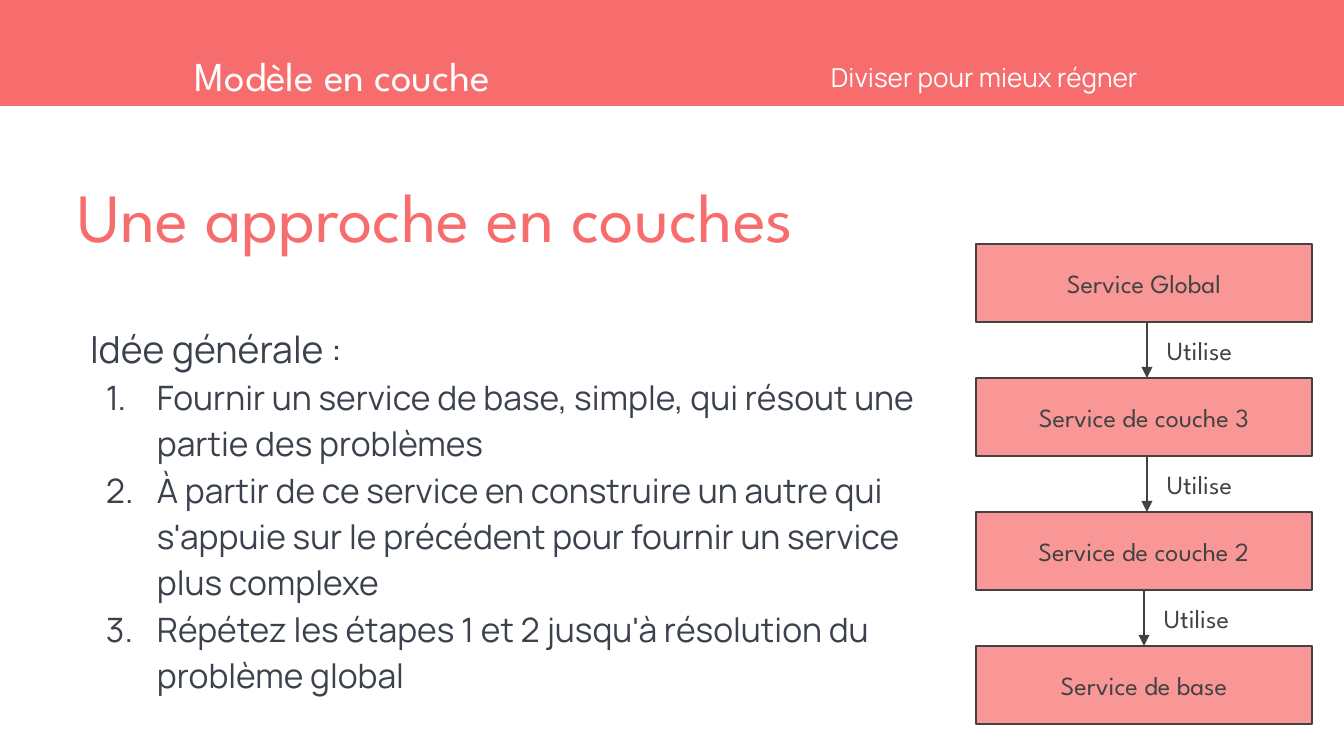
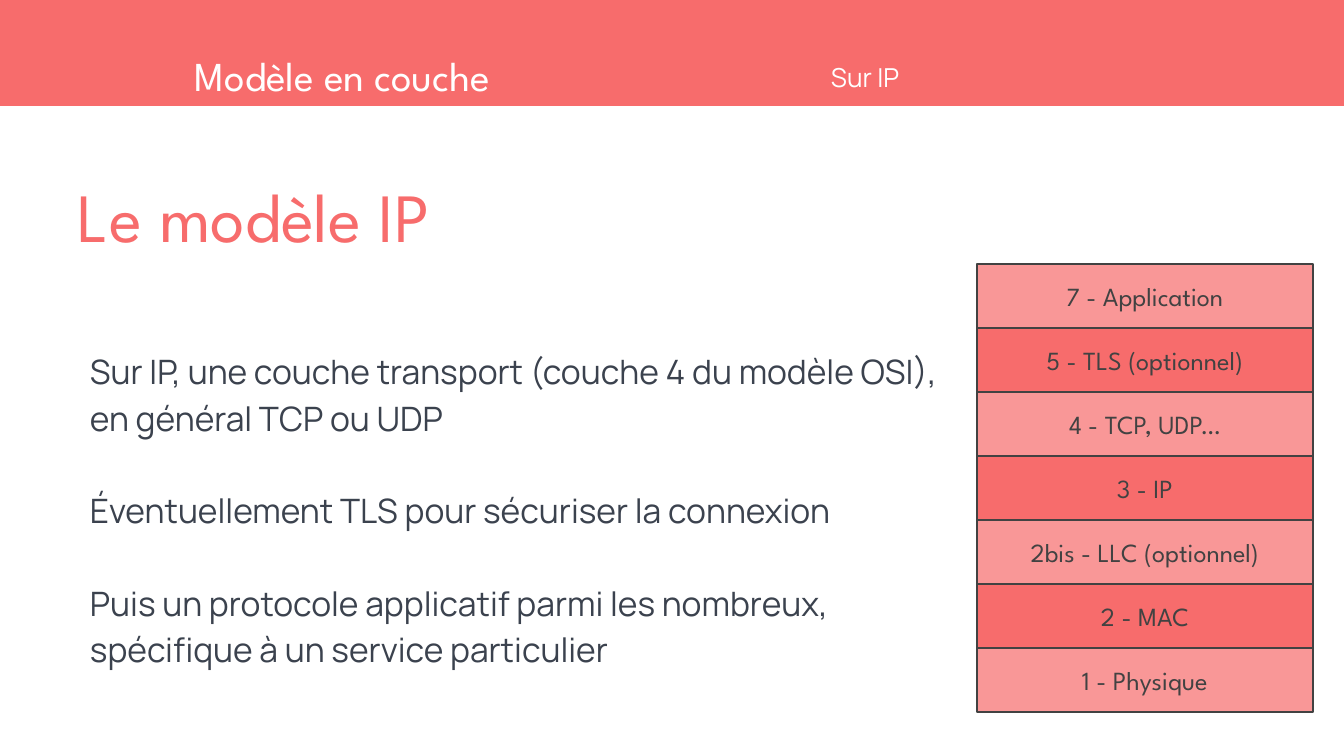
from lxml import etree
from pptx import Presentation
from pptx import util as u
from pptx.dml.color import RGBColor
from pptx.enum import shapes, text
from pptx.oxml import ns

# Content
SECTION = "Modèle en couche"
APPROACH = {
    "title": "Une approche en couches",
    "topic": "Diviser pour mieux régner",
    "intro": "Idée générale :",
    "steps": [
        "Fournir un service de base, simple, qui résout une partie des problèmes",
        "À partir de ce service en construire un autre qui s'appuie sur le précédent "
        "pour fournir un service plus complexe",
        "Répétez les étapes 1 et 2 jusqu'à résolution du problème global",
    ],
    "services": ["Service Global", "Service de couche 3", "Service de couche 2",
                 "Service de base"],
    "relation": "Utilise",
}
IP_MODEL = {
    "title": "Le modèle IP",
    "topic": "Sur IP",
    "body": [
        "Sur IP, une couche transport (couche 4 du modèle OSI), en général TCP ou UDP",
        "Éventuellement TLS pour sécuriser la connexion",
        "Puis un protocole applicatif parmi les nombreux, "
        "spécifique à un service particulier",
    ],
    "layers": ["7 - Application", "5 - TLS (optionnel)", "4 - TCP, UDP…", "3 - IP",
               "2bis - LLC (optionnel)", "2 - MAC", "1 - Physique"],
}

# Shared style
CORAL = RGBColor(0xF7, 0x6C, 0x6C)
PINK = RGBColor(0xF9, 0x97, 0x97)
SLATE = RGBColor(0x3B, 0x42, 0x4E)
CHARCOAL = RGBColor(0x42, 0x42, 0x42)
WHITE = RGBColor(0xFF, 0xFF, 0xFF)
HEADING, BODY = "League Spartan", "Manrope"
INSET = 13
BOX_W = 336


def px(n):
    return u.Emu(round(n * 914400 / 134.4))


def style(p, font, size, color):
    for r in p.runs:
        r.font.name, r.font.size = font, u.Pt(size)
        r.font.color.rgb = color


def set_frame(tf, inset=0, anchor=text.MSO_ANCHOR.MIDDLE):
    tf.word_wrap = True
    tf.auto_size = text.MSO_AUTO_SIZE.NONE
    tf.vertical_anchor = anchor
    tf.margin_left = tf.margin_top = tf.margin_right = tf.margin_bottom = px(inset)


def add_label(parent, box, words, font, size, color, **frame):
    tf = parent.add_textbox(*map(px, box)).text_frame
    set_frame(tf, **frame)
    tf.text = words
    style(tf.paragraphs[0], font, size, color)


def add_rect(s, box, fill):
    sp = s.shapes.add_shape(shapes.MSO_SHAPE.RECTANGLE, *map(px, box))
    sp.shadow.inherit = False
    sp.fill.solid()
    sp.fill.fore_color.rgb = fill
    sp.line.fill.background()
    return sp


def add_layer(s, box, words, fill):
    sp = add_rect(s, box, fill)
    sp.line.color.rgb, sp.line.width = CHARCOAL, u.Pt(0.75)
    set_frame(sp.text_frame, INSET)
    sp.text_frame.text = words
    p = sp.text_frame.paragraphs[0]
    p.alignment = text.PP_ALIGN.CENTER
    style(p, HEADING, 14, CHARCOAL)


def add_arrow(parent, x, top, bottom):
    c = parent.add_connector(shapes.MSO_CONNECTOR.STRAIGHT,
                             px(x), px(top), px(x), px(bottom))
    c.line.color.rgb, c.line.width = CHARCOAL, u.Pt(0.75)
    etree.SubElement(c.line._get_or_add_ln(), ns.qn("a:tailEnd"), type="triangle")
    etree.SubElement(c._element.spPr, ns.qn("a:effectLst"))


def number(p):
    """Numbered item with a hanging indent."""
    pPr = p._p.get_or_add_pPr()
    pPr.set("marL", str(px(67)))
    pPr.set("indent", str(px(-51)))
    color = etree.SubElement(pPr, ns.qn("a:buClr"))
    etree.SubElement(color, ns.qn("a:srgbClr"), val=str(SLATE))
    etree.SubElement(pPr, ns.qn("a:buFont"), typeface=BODY)
    etree.SubElement(pPr, ns.qn("a:buAutoNum"), type="arabicPeriod")


def add_body(s, width, lines):
    tf = s.shapes.add_textbox(px(90), px(277), px(width), px(461)).text_frame
    set_frame(tf)
    tf.text = "\n".join(words for words, _ in lines)
    for p, (_, size) in zip(tf.paragraphs, lines):
        p.line_spacing = 1.15
        style(p, BODY, size, SLATE)
    return tf.paragraphs


def new_slide(prs, content):
    """Slide with the band, section name, topic and title."""
    s = prs.slides.add_slide(prs.slide_layouts[5])
    add_rect(s, (-3, 0, 1350, 106), CORAL)
    add_label(s.shapes, (831, 51, 516, 52), content["topic"], BODY, 14, WHITE)
    add_label(s.shapes, (195, 22, 630, 106), SECTION, HEADING, 22, WHITE)
    title = s.shapes.title
    title.left, title.top, title.width, title.height = map(px, (78, 173, 1245, 78))
    set_frame(title.text_frame, anchor=text.MSO_ANCHOR.TOP)
    title.text_frame.text = content["title"]
    p = title.text_frame.paragraphs[0]
    p.alignment = text.PP_ALIGN.LEFT
    style(p, HEADING, 37, CORAL)
    return s


def build_approach(prs):
    s = new_slide(prs, APPROACH)
    lines = [(APPROACH["intro"], 20)] + [(step, 18) for step in APPROACH["steps"]]
    for p in add_body(s, 849, lines)[1:]:
        number(p)

    # Stack of services, each using the one below
    top, height, pitch = 244, 78, 134
    services = APPROACH["services"]
    for i, service in enumerate(services):
        add_layer(s, (976, top + i * pitch, BOX_W, height), service, PINK)
    for i, x in enumerate((1147, 1147, 1144)):
        bottom = top + i * pitch + height
        link = s.shapes.add_group_shape().shapes
        add_arrow(link, x, bottom, top + (i + 1) * pitch)
        add_label(link, (x + 7, bottom - 1, 136, 59), APPROACH["relation"],
                  HEADING, 14, CHARCOAL, inset=INSET, anchor=text.MSO_ANCHOR.TOP)


def build_ip_model(prs):
    s = new_slide(prs, IP_MODEL)
    for p in add_body(s, 875, [(words, 18) for words in IP_MODEL["body"]])[1:]:
        p.space_before = u.Pt(24.8)

    # Protocol stack in alternating colours
    height = 64
    for i, layer in enumerate(IP_MODEL["layers"]):
        add_layer(s, (977, 264 + i * height, BOX_W, height), layer,
                  (PINK, CORAL)[i % 2])


def main():
    prs = Presentation()
    prs.slide_width, prs.slide_height = px(1344), px(756)
    build_approach(prs)
    build_ip_model(prs)
    prs.save("out.pptx")


if __name__ == "__main__":
    main()
